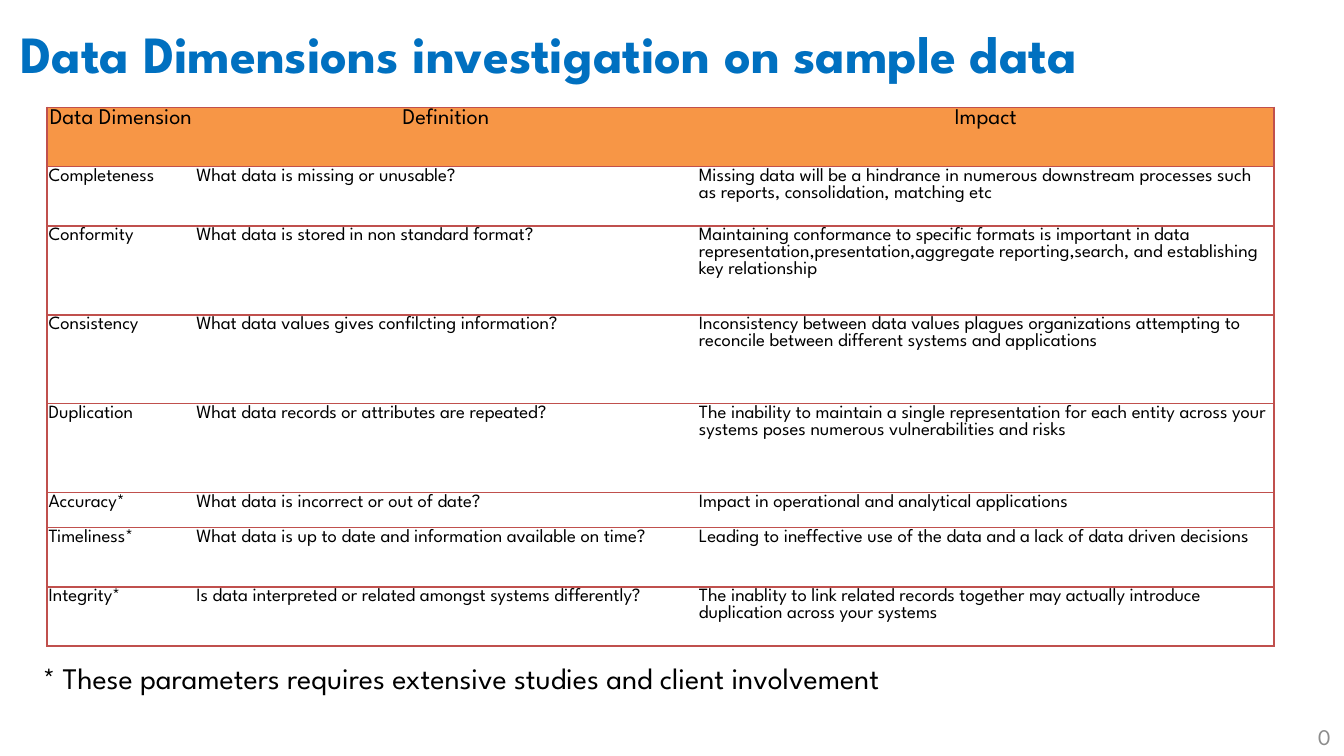
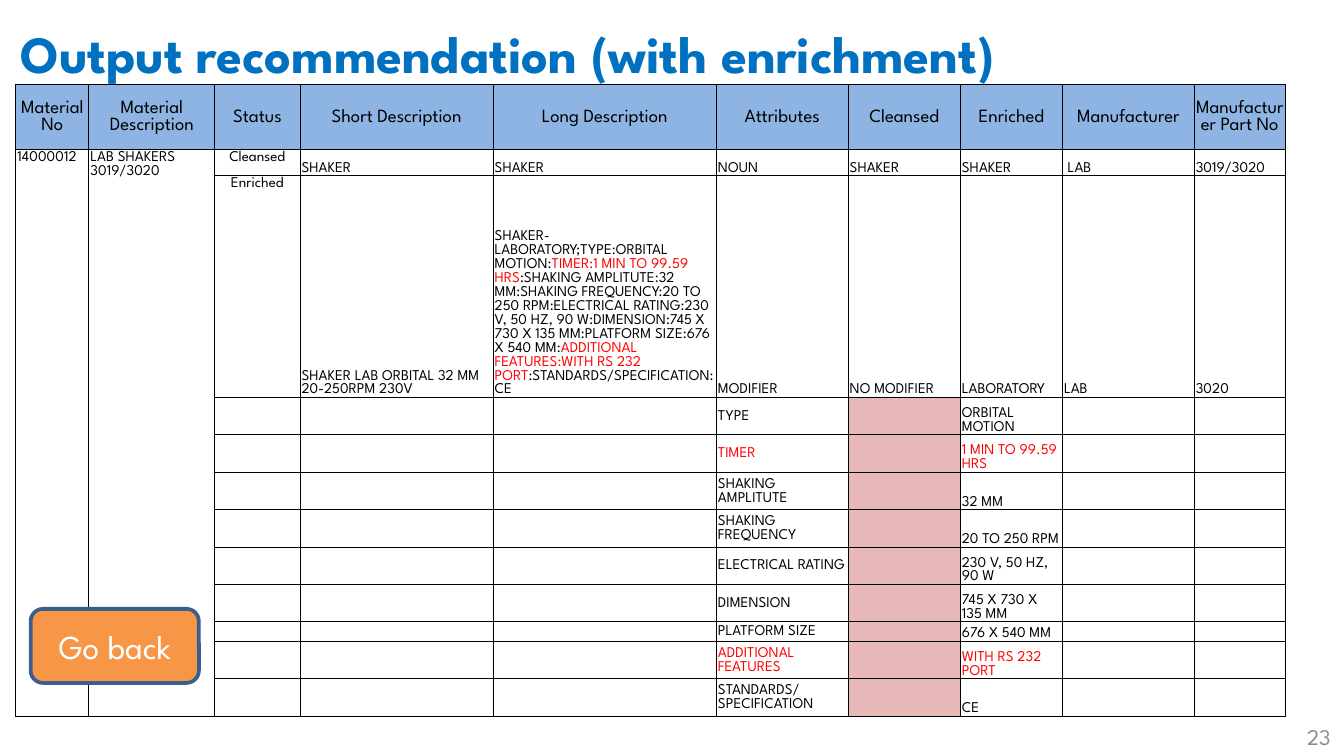
"""Build two data quality slides: dimensions investigated and enriched output."""
import dataclasses

import lxml.etree
import pptx
import pptx.dml.color
import pptx.enum.shapes
import pptx.enum.text
import pptx.oxml.ns
import pptx.util

Cm = pptx.util.Cm
ALIGN = pptx.enum.text.PP_ALIGN
ANCHOR = pptx.enum.text.MSO_ANCHOR


@dataclasses.dataclass(frozen=True)
class Theme:
    font: str = "League Spartan"
    title: str = "0070C0"
    text: str = "000000"
    highlight: str = "FF0000"
    page: str = "8C8C8C"
    white: str = "FFFFFF"
    orange: str = "F79646"
    red_line: str = "C0504D"
    blue_header: str = "8EB4E3"
    missing: str = "E6B9B8"
    button_line: str = "3A5F8C"
    title_size: int = 28
    button_size: int = 18
    note_size: int = 16
    header_size: int = 12
    body_size: int = 10
    detail_size: int = 8


theme = Theme()


def write_text(frame, text, size=theme.body_size, color=theme.text, bold=False, align=ALIGN.LEFT):
    """Write a string, or a list of (string, color) runs, as one paragraph."""
    paragraph = frame.paragraphs[0]
    paragraph.alignment = align
    runs = [(text, color)] if isinstance(text, str) else text
    for run_text, run_color in runs:
        if run_text:
            run = paragraph.add_run()
            run.text = run_text
            run.font.name = theme.font
            run.font.size = pptx.util.Pt(size)
            run.font.bold = bold
            run.font.color.rgb = pptx.dml.color.RGBColor.from_string(run_color)
    end = lxml.etree.SubElement(paragraph._p, pptx.oxml.ns.qn("a:endParaRPr"))
    end.set("sz", str(size * 100))


def format_cell(cell, text, sides, line_color, line_width, fill=None, anchor=ANCHOR.TOP, **text_format):
    """Give a table cell its borders, fill, margins and text."""
    properties = cell._tc.get_or_add_tcPr()
    for side in "LRTB":
        line = lxml.etree.SubElement(properties, pptx.oxml.ns.qn("a:ln" + side))
        if side in sides:
            line.set("w", str(pptx.util.Pt(line_width)))
            solid = lxml.etree.SubElement(line, pptx.oxml.ns.qn("a:solidFill"))
            lxml.etree.SubElement(solid, pptx.oxml.ns.qn("a:srgbClr")).set("val", line_color)
        else:
            lxml.etree.SubElement(line, pptx.oxml.ns.qn("a:noFill"))
    if fill:
        cell.fill.solid()
        cell.fill.fore_color.rgb = pptx.dml.color.RGBColor.from_string(fill)
    else:
        cell.fill.background()
    cell.margin_left = cell.margin_right = cell.margin_top = Cm(0.03)
    cell.margin_bottom = 0
    cell.vertical_anchor = anchor
    write_text(cell.text_frame, text, **text_format)


presentation = pptx.Presentation()
presentation.slide_width = Cm(25.4)
presentation.slide_height = Cm(14.29)

dimension_widths = [2.79, 9.5, 10.9]
dimension_heights = [1.12, 1.12, 1.68, 1.68, 1.68, 0.66, 1.12, 1.12]
dimension_rows = [
    ("Data Dimension", "Definition", "Impact"),
    ("Completeness", "What data is missing or unusable?",
     "Missing data will be a hindrance in numerous downstream processes such as reports, "
     "consolidation, matching etc"),
    ("Conformity", "What data is stored in non standard format?",
     "Maintaining conformance to specific formats is important in data "
     "representation,presentation,aggregate reporting,search, and establishing key relationship"),
    ("Consistency", "What data values gives confilcting information?",
     "Inconsistency between data values plagues organizations attempting to reconcile between "
     "different systems and applications"),
    ("Duplication", "What data records or attributes are repeated?",
     "The inability to maintain a single representation for each entity across your systems "
     "poses numerous vulnerabilities and risks"),
    ("Accuracy*", "What data is incorrect or out of date?",
     "Impact in operational and analytical applications"),
    ("Timeliness*", "What data is up to date and information available on time?",
     "Leading to ineffective use of the data and a lack of data driven decisions"),
    ("Integrity*", "Is data interpreted or related amongst systems differently?",
     "The inablity to link related records together may actually introduce duplication across "
     "your systems"),
]

long_description = [
    ("SHAKER-LABORATORY;TYPE:ORBITAL MOTION:", theme.text),
    ("TIMER:1 MIN TO 99.59 HRS", theme.highlight),
    (":SHAKING AMPLITUTE:32 MM:SHAKING FREQUENCY:20 TO 250 RPM:ELECTRICAL RATING:230 V, 50 HZ, "
     "90 W:DIMENSION:745 X 730 X 135 MM:PLATFORM SIZE:676 X 540 MM:", theme.text),
    ("ADDITIONAL FEATURES:WITH RS 232 PORT", theme.highlight),
    (":STANDARDS/SPECIFICATION:CE", theme.text),
]
attributes = [
    ("TYPE", "ORBITAL MOTION"),
    ("TIMER", "1 MIN TO 99.59 HRS"),
    ("SHAKING AMPLITUTE", "32 MM"),
    ("SHAKING FREQUENCY", "20 TO 250 RPM"),
    ("ELECTRICAL RATING", "230 V, 50 HZ, 90 W"),
    ("DIMENSION", "745 X 730 X 135 MM"),
    ("PLATFORM SIZE", "676 X 540 MM"),
    ("ADDITIONAL FEATURES", "WITH RS 232 PORT"),
    ("STANDARDS/SPECIFICATION", "CE"),
]
added_attributes = {"TIMER", "ADDITIONAL FEATURES"}
output_widths = [1.38, 2.38, 1.61, 3.65, 4.22, 2.49, 2.12, 1.93, 2.49, 1.72]
output_heights = [1.22, 0.5, 4.19] + [0.33 if name == "PLATFORM SIZE" else 0.66 for name, _ in attributes]
output_rows = [
    ["Material No", "Material Description", "Status", "Short Description", "Long Description",
     "Attributes", "Cleansed", "Enriched", "Manufacturer", "Manufacturer Part No"],
    ["14000012", "LAB SHAKERS 3019/3020", "Cleansed", "SHAKER", "SHAKER",
     "NOUN", "SHAKER", "SHAKER", " LAB", "3019/3020"],
    ["", "", "Enriched", "SHAKER LAB ORBITAL 32 MM 20-250RPM 230V", long_description,
     "MODIFIER", "NO MODIFIER", "LABORATORY", "LAB", "3020"],
] + [[""] * 5 + [name, "", value, "", ""] for name, value in attributes]

pages = [
    ("Data Dimensions investigation on sample data", "0", 0.89, 2.03, dimension_widths, dimension_heights),
    ("Output recommendation (with enrichment)", "23", 0.3, 1.6, output_widths, output_heights),
]
slides, tables = [], []
for title, number, left, top, widths, heights in pages:
    slide = presentation.slides.add_slide(presentation.slide_layouts[5])
    heading = slide.shapes.title
    heading.left, heading.top, heading.width, heading.height = Cm(0.13), Cm(0.1), Cm(25.1), Cm(1.8)
    heading.text_frame.vertical_anchor = ANCHOR.MIDDLE
    write_text(heading.text_frame, title, size=theme.title_size, color=theme.title, bold=True)

    page_box = slide.shapes.add_textbox(Cm(22.91), Cm(13.54), Cm(2.49), Cm(0.76))
    page_box.text_frame.word_wrap = True
    page_box.text_frame.vertical_anchor = ANCHOR.MIDDLE
    write_text(page_box.text_frame, number, size=theme.header_size, color=theme.page, align=ALIGN.RIGHT)

    table = slide.shapes.add_table(
        len(heights), len(widths), Cm(left), Cm(top), Cm(sum(widths)), Cm(sum(heights))).table
    table.first_row = table.horz_banding = False
    for column, width in zip(table.columns, widths):
        column.width = Cm(width)
    for row, height in zip(table.rows, heights):
        row.height = Cm(height)
    slides.append(slide)
    tables.append(table)

for row, texts in enumerate(dimension_rows):
    for column, text in enumerate(texts):
        format_cell(
            tables[0].cell(row, column), text, ("LTB", "TB", "RTB")[column], theme.red_line, 1,
            fill=theme.white if row else theme.orange,
            size=theme.body_size if row else theme.header_size,
            align=ALIGN.LEFT if row else ALIGN.CENTER)

note = slides[0].shapes.add_textbox(Cm(0.56), Cm(12.34), Cm(17.35), Cm(0.94))
note.text_frame.word_wrap = False
note.text_frame.auto_size = pptx.enum.text.MSO_AUTO_SIZE.SHAPE_TO_FIT_TEXT
write_text(note.text_frame, "* These parameters requires extensive studies and client involvement",
           size=theme.note_size)

last_row = len(output_rows) - 1
for column in (0, 1):
    tables[1].cell(1, column).merge(tables[1].cell(last_row, column))
for row, texts in enumerate(output_rows):
    for column, text in enumerate(texts):
        cell = tables[1].cell(row, column)
        sides = "LRTB"
        if cell.is_spanned:
            sides = "LRB" if row == last_row else "LR"
        fill, anchor, align = None, ANCHOR.BOTTOM, ALIGN.LEFT
        if row == 0:
            fill, anchor, align = theme.blue_header, ANCHOR.MIDDLE, ALIGN.CENTER
        elif column < 3:
            anchor = ANCHOR.TOP
            align = ALIGN.CENTER if column == 2 else ALIGN.LEFT
        elif row > 2 and column == 5:
            anchor = ANCHOR.MIDDLE
        elif row > 2 and column == 6:
            fill = theme.missing
        added = column in (5, 7) and texts[5] in added_attributes
        format_cell(
            cell, text, sides, theme.text, 0.5, fill=fill, anchor=anchor, align=align,
            size=theme.detail_size if row else theme.body_size,
            color=theme.highlight if added else theme.text)

button = slides[1].shapes.add_shape(
    pptx.enum.shapes.MSO_SHAPE.ROUNDED_RECTANGLE, Cm(0.58), Cm(11.51), Cm(3.18), Cm(1.4))
button.shadow.inherit = False
button.fill.solid()
button.fill.fore_color.rgb = pptx.dml.color.RGBColor.from_string(theme.orange)
button.line.color.rgb = pptx.dml.color.RGBColor.from_string(theme.button_line)
button.line.width = pptx.util.Pt(2)
button.text_frame.vertical_anchor = ANCHOR.MIDDLE
write_text(button.text_frame, "Go back", size=theme.button_size, color=theme.white, align=ALIGN.CENTER)

presentation.save("out.pptx")
